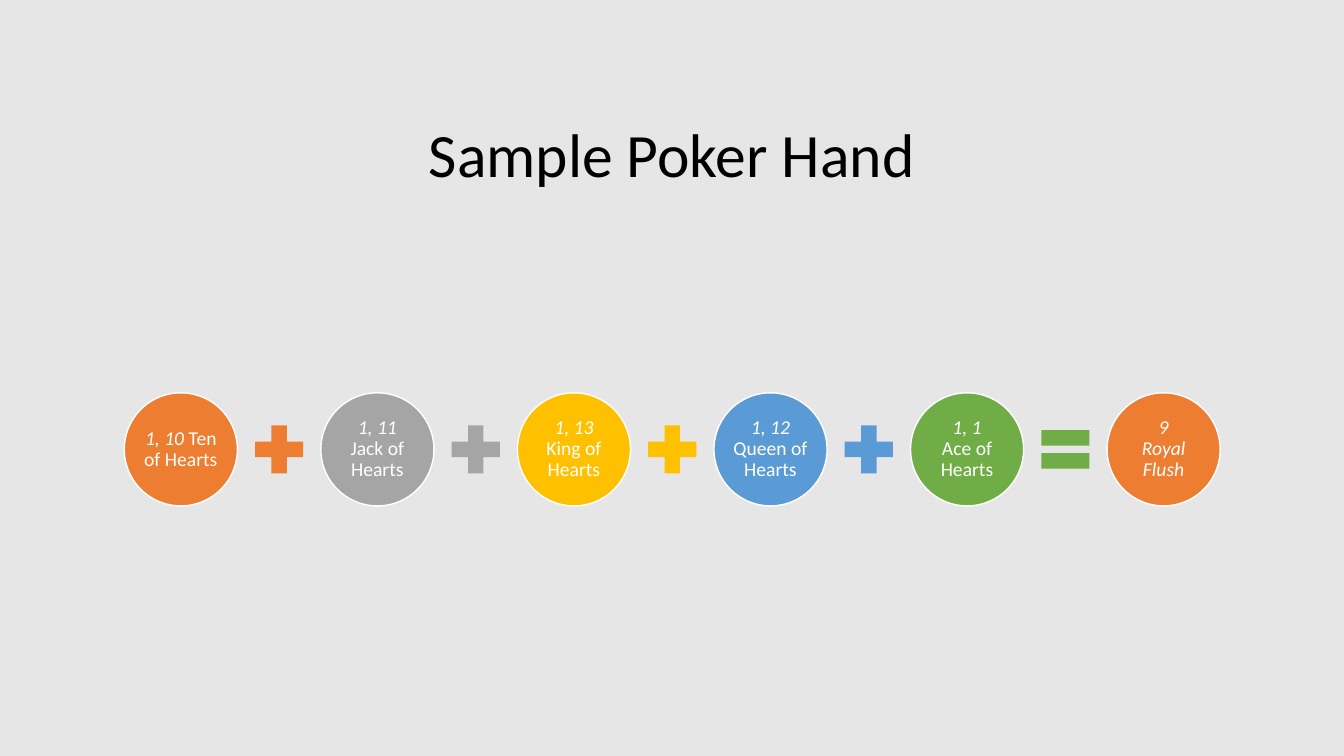
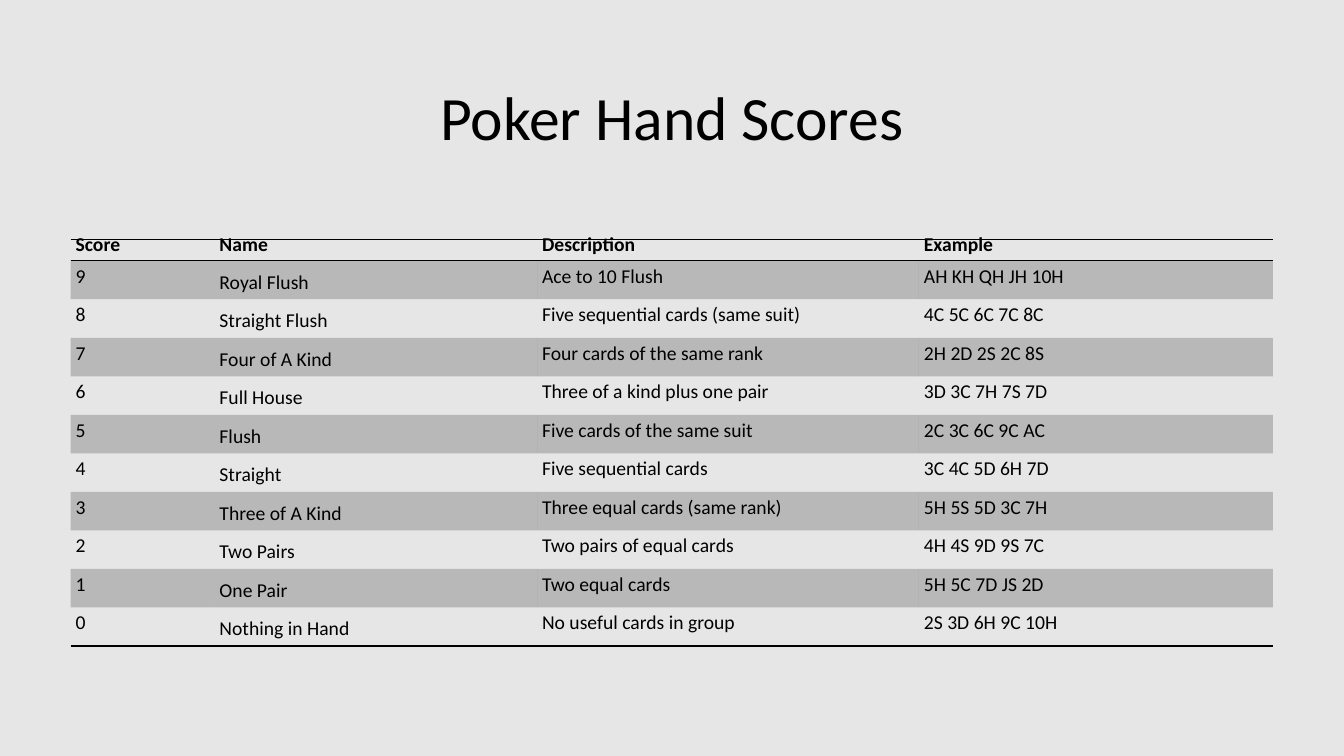
"""Build two slides on poker hands: a worked example and a score table."""
from dataclasses import dataclass
from itertools import accumulate

from lxml.etree import SubElement
from pptx import Presentation
from pptx.dml.color import RGBColor
from pptx.enum.shapes import MSO_SHAPE
from pptx.enum.text import MSO_ANCHOR, PP_ALIGN
from pptx.oxml import parse_xml
from pptx.oxml.ns import nsdecls, qn
from pptx.util import Pt


@dataclass(frozen=True)
class Theme:
    font: str = "Calibri"
    title_size: int = 44
    body_size: int = 14
    leading: float = 0.9
    row_leading: int = 12
    background: str = "E7E6E6"
    ink: str = "000000"
    light: str = "FFFFFF"
    band_opacity: int = 20
    rule_width: int = 1
    plain_table: str = "{2D5ABB26-0587-4C30-8999-92F81FD0307C}"


THEME = Theme()
SLIDE_SIZE = (960, 540)
TITLE_BOX = (50.4, 54, 859.2, 116.8)

HAND_TITLE = "Sample Poker Hand"
HAND = [
    ("ED7D31", [[("1, 10 ", True), ("Ten of Hearts", False)]]),
    ("A5A5A5", [[("1, 11 ", True), ("Jack of Hearts", False)]]),
    ("FFC000", [[("1, 13 ", True), ("King of Hearts", False)]]),
    ("5B9BD5", [[("1, 12 ", True), ("Queen of Hearts", False)]]),
    ("70AD47", [[("1, 1", True)], [("Ace of Hearts", False)]]),
    ("ED7D31", [[("9", True)], [("Royal Flush", True)]]),
]
HAND_LEFT, HAND_MIDDLE = 88.8, 321
CARD_SIZE, SIGN_SIZE, CARD_STEP = 80.8, 46.8, 140.4
CARD_INSET = 1.4

SCORES_TITLE = "Poker Hand Scores"
SCORES_TITLE_LIFT = 52.8
SCORES = [
    ("Score", "Name", "Description", "Example"),
    ("9", "Royal Flush", "Ace to 10 Flush", "AH KH QH JH 10H"),
    ("8", "Straight Flush", "Five sequential cards (same suit)", "4C 5C 6C 7C 8C"),
    ("7", "Four of A Kind", "Four cards of the same rank", "2H 2D 2S 2C 8S"),
    ("6", "Full House", "Three of a kind plus one pair", "3D 3C 7H 7S 7D"),
    ("5", "Flush", "Five cards of the same suit", "2C 3C 6C 9C AC"),
    ("4", "Straight", "Five sequential cards", "3C 4C 5D 6H 7D"),
    ("3", "Three of A Kind", "Three equal cards (same rank)", "5H 5S 5D 3C 7H"),
    ("2", "Two Pairs", "Two pairs of equal cards", "4H 4S 9D 9S 7C"),
    ("1", "One Pair", "Two equal cards", "5H 5C 7D JS 2D"),
    ("0", "Nothing in Hand", "No useful cards in group", "2S 3D 6H 9C 10H"),
]
SCORES_LEFT, SCORES_TOP = 50.4, 171
COLUMN_WIDTHS = (102.8, 230.4, 272.8, 252.8)
HEADER_HEIGHT, ROW_HEIGHT = 15.2, 27.55
CELL_INSET = 3.6
NAME_COLUMN = 1


def points(*lengths):
    return [Pt(length) for length in lengths]


def color(value):
    return RGBColor.from_string(value)


def add_run(paragraph, text, size, ink, bold=False, italic=False):
    run = paragraph.add_run()
    run.text = text
    run.font.name = THEME.font
    run.font.size = Pt(size)
    run.font.bold = bold
    run.font.italic = italic
    run.font.color.rgb = color(ink)


def add_titled_slide(deck, title, lift=0):
    slide = deck.slides.add_slide(deck.slide_layouts[6])
    frame = slide.shapes.add_textbox(*points(*TITLE_BOX)).text_frame
    frame.word_wrap = True
    frame.vertical_anchor = MSO_ANCHOR.MIDDLE
    frame.margin_bottom = Pt(3.6 + lift)
    heading = frame.paragraphs[0]
    heading.alignment = PP_ALIGN.CENTER
    heading.line_spacing = THEME.leading
    add_run(heading, title, THEME.title_size, THEME.ink)
    return slide


def add_centered_shape(slide, preset, left, size, fill):
    box = points(left, HAND_MIDDLE - size / 2, size, size)
    shape = slide.shapes.add_shape(preset, *box)
    shape.shadow.inherit = False
    shape.fill.solid()
    shape.fill.fore_color.rgb = color(fill)
    shape.line.fill.background()
    return shape


def add_card(slide, left, fill, lines):
    card = add_centered_shape(slide, MSO_SHAPE.OVAL, left, CARD_SIZE, fill)
    card.line.color.rgb = color(THEME.light)
    card.line.width = Pt(THEME.rule_width)
    frame = card.text_frame
    frame.word_wrap = True
    frame.vertical_anchor = MSO_ANCHOR.MIDDLE
    frame.margin_left = frame.margin_right = Pt(CARD_INSET)
    frame.margin_top = frame.margin_bottom = Pt(CARD_INSET)
    for index, line in enumerate(lines):
        paragraph = frame.add_paragraph() if index else frame.paragraphs[0]
        paragraph.alignment = PP_ALIGN.CENTER
        paragraph.line_spacing = THEME.leading
        for text, italic in line:
            add_run(paragraph, text, THEME.body_size, THEME.light, italic=italic)


def add_hand(slide):
    sign_offset = (CARD_STEP + CARD_SIZE - SIGN_SIZE) / 2
    last = len(HAND) - 1
    for index, (fill, lines) in enumerate(HAND):
        left = HAND_LEFT + index * CARD_STEP
        add_card(slide, left, fill, lines)
        if index < last:
            sign = MSO_SHAPE.MATH_EQUAL if index == last - 1 else MSO_SHAPE.MATH_PLUS
            add_centered_shape(slide, sign, left + sign_offset, SIGN_SIZE, fill)


def add_rules(cell, sides):
    properties = cell._tc.get_or_add_tcPr()
    for position, side in enumerate(sides):
        properties.insert(position, parse_xml(
            f'<a:ln{side} {nsdecls("a")} w="{Pt(THEME.rule_width)}"><a:solidFill>'
            f'<a:srgbClr val="{THEME.ink}"/></a:solidFill></a:ln{side}>'))


def shade(cell, banded):
    if not banded:
        cell.fill.background()
        return
    cell.fill.solid()
    cell.fill.fore_color.rgb = color(THEME.ink)
    tint = cell._tc.tcPr.find(".//" + qn("a:srgbClr"))
    SubElement(tint, qn("a:alpha")).set("val", str(THEME.band_opacity * 1000))


def fill_cell(cell, text, row, column):
    header = row == 0
    named = column == NAME_COLUMN and not header
    cell.margin_left = cell.margin_right = Pt(CELL_INSET)
    cell.margin_top = Pt(THEME.row_leading if named else 0)
    cell.margin_bottom = Pt(0)
    cell.vertical_anchor = MSO_ANCHOR.TOP if header or named else MSO_ANCHOR.MIDDLE
    paragraph = cell.text_frame.paragraphs[0]
    paragraph.line_spacing = Pt(THEME.row_leading)
    add_run(paragraph, text, THEME.body_size, THEME.ink, bold=header)
    shade(cell, row % 2 == 1)
    if header:
        add_rules(cell, "TB")
    elif row == len(SCORES) - 1:
        add_rules(cell, "B")


def add_scores(slide):
    heights = [HEADER_HEIGHT] + [ROW_HEIGHT] * (len(SCORES) - 1)
    box = points(SCORES_LEFT, SCORES_TOP, sum(COLUMN_WIDTHS), sum(heights))
    table = slide.shapes.add_table(len(SCORES), len(COLUMN_WIDTHS), *box).table
    table.first_row = table.horz_banding = False
    table._tbl.tblPr.find(qn("a:tableStyleId")).text = THEME.plain_table
    for column, width in zip(table.columns, COLUMN_WIDTHS):
        column.width = Pt(width)
    for row, height in zip(table.rows, heights):
        row.height = Pt(height)
    for row, texts in enumerate(SCORES):
        for column, text in enumerate(texts):
            fill_cell(table.cell(row, column), text, row, column)


def main():
    deck = Presentation()
    deck.slide_width, deck.slide_height = points(*SLIDE_SIZE)
    backdrop = deck.slide_master.background.fill
    backdrop.solid()
    backdrop.fore_color.rgb = color(THEME.background)
    add_hand(add_titled_slide(deck, HAND_TITLE))
    add_scores(add_titled_slide(deck, SCORES_TITLE, SCORES_TITLE_LIFT))
    deck.save("out.pptx")


main()
